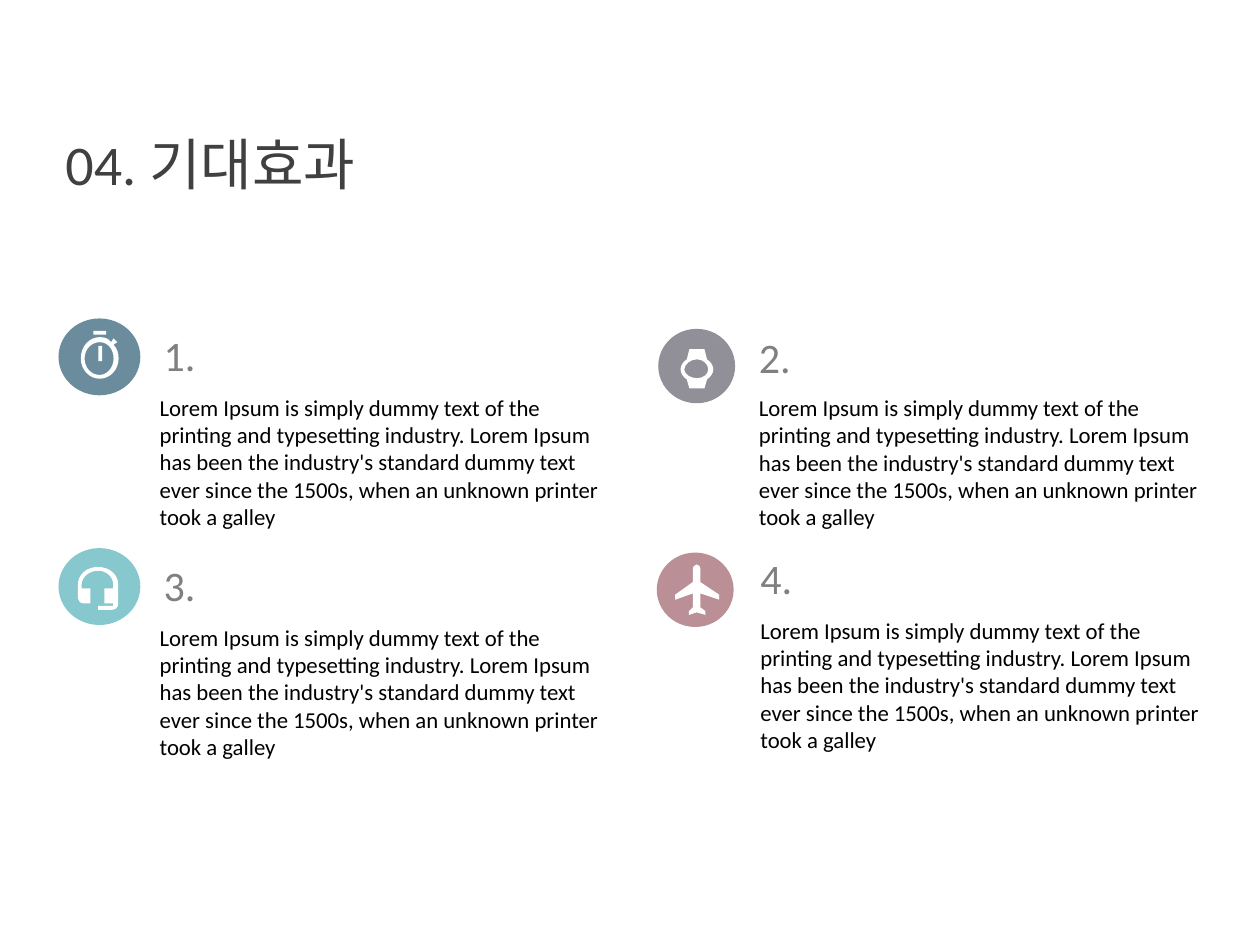
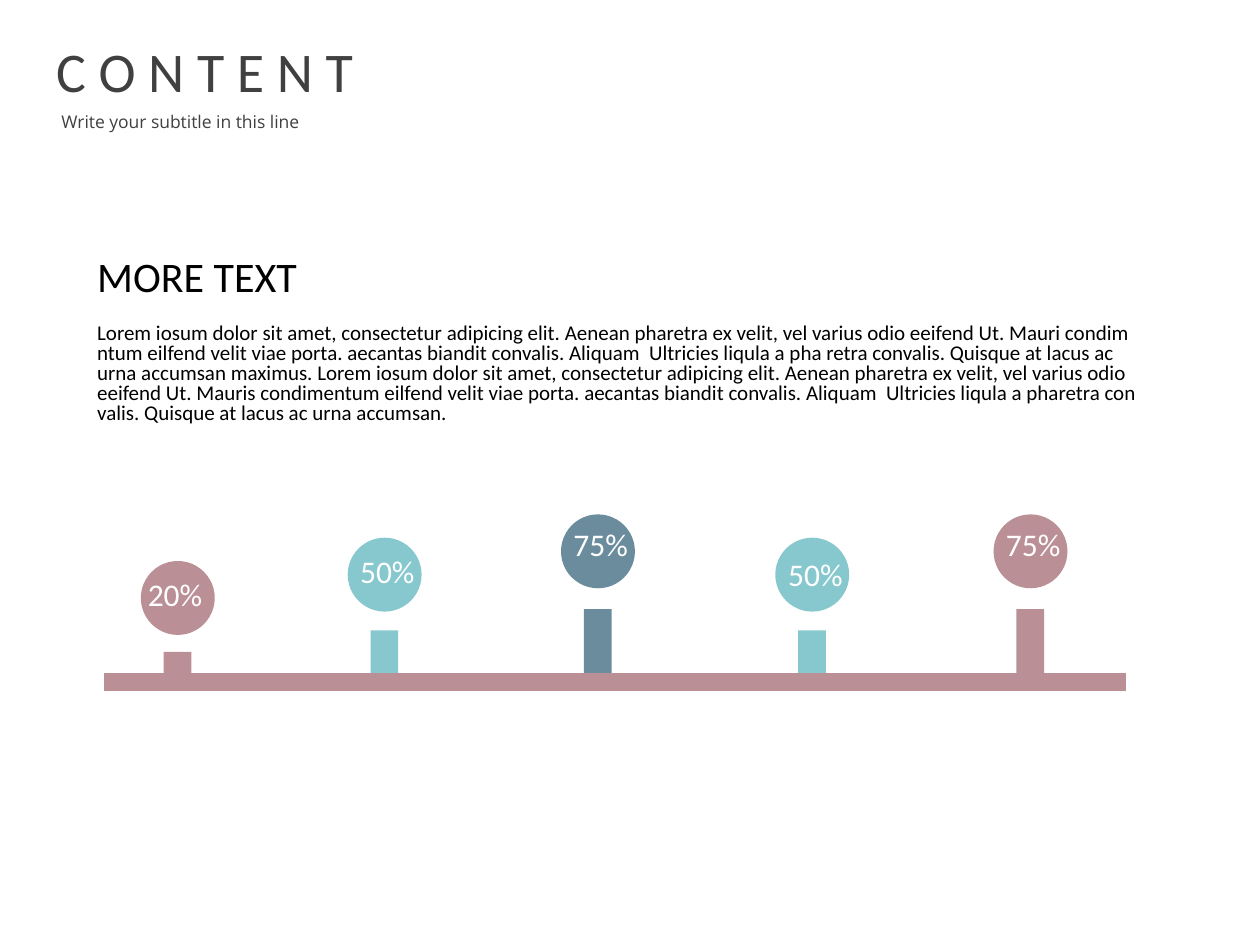
from pptx import Presentation
from pptx import util as u
from pptx.dml.color import RGBColor
from pptx.enum import shapes, text
from pptx.oxml import xmlchemy as xml

ROSE, AQUA, BLUE, GRAY = "BA8F95", "86C8CE", "6B8C9C", "919098"
DARK, MID, BLACK, WHITE = "404040", "808080", "000000", "FFFFFF"
OVAL, RECT = shapes.MSO_SHAPE.OVAL, shapes.MSO_SHAPE.RECTANGLE
TIGHT = 0.1
UNIT = u.Cm(2.54) / 100  # icon grid: hundredths of an inch

LOREM = ("Lorem Ipsum is simply dummy text of the printing and typesetting industry. "
         "Lorem Ipsum has been the industry's standard dummy text ever since the 1500s, "
         "when an unknown printer took a galley")
MORE = [
    "MORE TEXT",
    "Lorem iosum dolor sit amet, consectetur adipicing elit. Aenean pharetra ex velit, "
    "vel varius odio eeifend Ut. Mauri condim",
    "ntum eilfend velit viae porta. aecantas biandit convalis. Aliquam  Ultricies liqula "
    "a pha retra convalis. Quisque at lacus ac",
    "urna accumsan maximus. Lorem iosum dolor sit amet, consectetur adipicing elit. "
    "Aenean pharetra ex velit, vel varius odio",
    "eeifend Ut. Mauris condimentum eilfend velit viae porta. aecantas biandit convalis. "
    "Aliquam  Ultricies liqula a pharetra con",
    "valis. Quisque at lacus ac urna accumsan.",
]

# Each contour is a start point, then lines (x, y) and curves (x1, y1, x2, y2, x, y).
TIMER = [
    [(20, 0), (10, 0), (10, 3), (20, 3)],
    [(14, 24), (17, 24), (17, 12), (14, 12)],
    [(26, 11), (29, 9), (28, 8, 27, 7, 26, 6), (24, 9), (22, 6, 19, 5, 15, 5),
     (7, 5, 0, 12, 0, 22), (0, 31, 7, 38, 15, 38), (23, 38, 30, 31, 30, 22),
     (30, 18, 29, 14, 26, 11)],
    [(15, 35), (8, 35, 3, 29, 3, 22), (3, 14, 9, 9, 15, 9),
     (21, 9, 26, 14, 26, 22), (26, 29, 21, 35, 15, 35)],
]
WATCH = [
    [(26, 16), (26, 13, 24, 10, 21, 8), (19, 0), (7, 0), (5, 8),
     (2, 10, 0, 13, 0, 16), (0, 19, 2, 22, 5, 24), (7, 31), (19, 31), (21, 24),
     (24, 22, 26, 19, 26, 16)],
    [(3, 16), (3, 12, 8, 8, 13, 8), (18, 8, 22, 12, 22, 16),
     (22, 20, 18, 23, 13, 23), (8, 23, 3, 20, 3, 16)],
]
HEADSET = [
    [(16, 0), (7, 0, 0, 6, 0, 14), (0, 25), (0, 27, 2, 29, 5, 29), (10, 29),
     (10, 17), (3, 17), (3, 14), (3, 8, 9, 3, 16, 3), (23, 3, 28, 8, 28, 14),
     (28, 17), (21, 17), (21, 29), (28, 29), (28, 31), (16, 31), (16, 34),
     (27, 34), (30, 34, 32, 32, 32, 29), (32, 14), (32, 6, 25, 0, 16, 0)],
]
PLANE = [
    [(35, 28), (35, 24), (20, 14), (20, 3), (20, 2, 19, 0, 17, 0),
     (16, 0, 14, 2, 14, 3), (14, 14), (0, 24), (0, 28), (14, 23), (14, 34),
     (11, 37), (11, 40), (17, 38), (24, 40), (24, 37), (20, 34), (20, 23)],
]

LARGE, SMALL = (1.65, 1.55), (1.55, 1.5)
# label, colour, disc place, disc size, icon, icon place, label place, body place
EFFECTS = [
    ("1.", BLUE, (1.18, 6.42), LARGE, TIMER, (1.63, 6.67), (3.2, 6.71), (3.12, 7.83)),
    ("2.", GRAY, (13.27, 6.63), SMALL, WATCH, (13.72, 7.04), (15.2, 6.75), (15.2, 7.84)),
    ("3.", AQUA, (1.18, 11.05), LARGE, HEADSET, (1.57, 11.43), (3.2, 11.34), (3.12, 12.47)),
    ("4.", ROSE, (13.24, 11.14), SMALL, PLANE, (13.61, 11.38), (15.23, 11.21), (15.23, 12.33)),
]
# label, level, colour, disc left, label place
STEMS = [
    ("20%", 1, ROSE, 2.84, (2.73, 11.61)),
    ("50%", 2, AQUA, 7.01, (7.01, 11.15)),
    ("75%", 3, BLUE, 11.31, (11.31, 10.61)),
    ("50%", 2, AQUA, 15.63, (15.64, 11.21)),
    ("75%", 3, ROSE, 20.03, (20.03, 10.6)),
]
BASE = 13.57


def tint(fmt, color):
    """Set a font or a fill to a solid hex colour."""
    if hasattr(fmt, "solid"):
        fmt.solid()
        fmt.fore_color.rgb = RGBColor.from_string(color)
    else:
        fmt.color.rgb = RGBColor.from_string(color)


def paint(shape, color):
    shape.shadow.inherit = False
    tint(shape.fill, color)
    shape.line.fill.background()


def block(slide, kind, x, y, w, h, color):
    paint(slide.shapes.add_shape(kind, u.Cm(x), u.Cm(y), u.Cm(w), u.Cm(h)), color)


def write(slide, x, y, w, h, lines, size, color, font="Calibri",
          wrap=True, inset=None, lead=None):
    """Add a text box with one paragraph a line and return its frame."""
    frame = slide.shapes.add_textbox(u.Cm(x), u.Cm(y), u.Cm(w), u.Cm(h)).text_frame
    frame.word_wrap = wrap
    if not wrap:
        frame.auto_size = text.MSO_AUTO_SIZE.SHAPE_TO_FIT_TEXT
    if inset is not None:
        frame.margin_left = frame.margin_right = u.Cm(inset)
        frame.margin_top = frame.margin_bottom = u.Cm(inset)
    frame.text = "\n".join(lines)
    for para in frame.paragraphs:
        if lead:
            para.line_spacing = lead
        for run in para.runs:
            run.font.name = font
            run.font.size = u.Pt(size)
            tint(run.font, color)
    return frame


def title(slide, x, y, w, words):
    write(slide, x, y, w, 1.63, [words], 32, DARK, wrap=False)


def bend(shape, contours):
    """Join the three lines that stand for each curve into one Bezier curve."""
    lines = iter(shape.element.xpath(".//a:lnTo"))
    for seg in (s for c in contours for s in c[1:]):
        line = next(lines)
        if len(seg) == 6:
            curve = xml.OxmlElement("a:cubicBezTo")
            line.addprevious(curve)
            for part in (line, next(lines), next(lines)):
                curve.append(part[0])
                part.getparent().remove(part)


def icon(slide, x, y, contours):
    pen = None
    for contour in contours:
        first, *rest = [(seg[i] * UNIT, seg[i + 1] * UNIT)
                        for seg in contour for i in range(0, len(seg), 2)]
        if pen:
            pen.move_to(*first)
        else:
            pen = slide.shapes.build_freeform(*first)
        pen.add_line_segments(rest, close=True)
    shape = pen.convert_to_shape(u.Cm(x), u.Cm(y))
    bend(shape, contours)
    paint(shape, WHITE)


def effects(slide):
    title(slide, 1.07, 2.49, 6.78, "04. 기대효과")
    for label, color, disc, size, art, spot, head, body in EFFECTS:
        block(slide, OVAL, *disc, *size, color)
        icon(slide, *spot, art)
        frame = write(slide, *head, 1.04, 1.07, [label], 24, MID,
                      wrap=False, inset=TIGHT, lead=0.8)
        frame.vertical_anchor = text.MSO_ANCHOR.MIDDLE
        write(slide, *body, 9.12, 2.67, [LOREM], 13, BLACK, inset=TIGHT)


def content(slide):
    title(slide, 0.88, 0.61, 6.58, "C O N T E N T")
    write(slide, 1.24, 2.24, 5.31, 0.58, ["Write your subtitle in this line"],
          10, DARK, font="Open Sans", inset=0)
    head = write(slide, 1.71, 5.13, 23.69, 5.94, MORE, 12, BLACK, lead=0.8).paragraphs[0]
    head.runs[0].font.size = u.Pt(24)
    head.space_after = u.Pt(13.2)
    for label, level, color, left, spot in STEMS:
        rise = 0.43 * level
        sunk = 0.2 if level > 1 else 0
        block(slide, RECT, left + 0.46, BASE - rise, 0.56, rise + sunk, color)
    block(slide, RECT, 2.1, BASE, 20.6, 0.36, ROSE)
    for label, level, color, left, spot in STEMS:
        block(slide, OVAL, left, 11.78 - 0.47 * level, 1.49, 1.49, color)
        write(slide, *spot, 1.63, 0.88, [label], 18, WHITE, wrap=False, lead=0.8)


def main():
    deck = Presentation()
    deck.slide_width, deck.slide_height = u.Cm(25.4), u.Cm(19.05)
    for build in (effects, content):
        build(deck.slides.add_slide(deck.slide_layouts[6]))
    deck.save("out.pptx")


if __name__ == "__main__":
    main()
